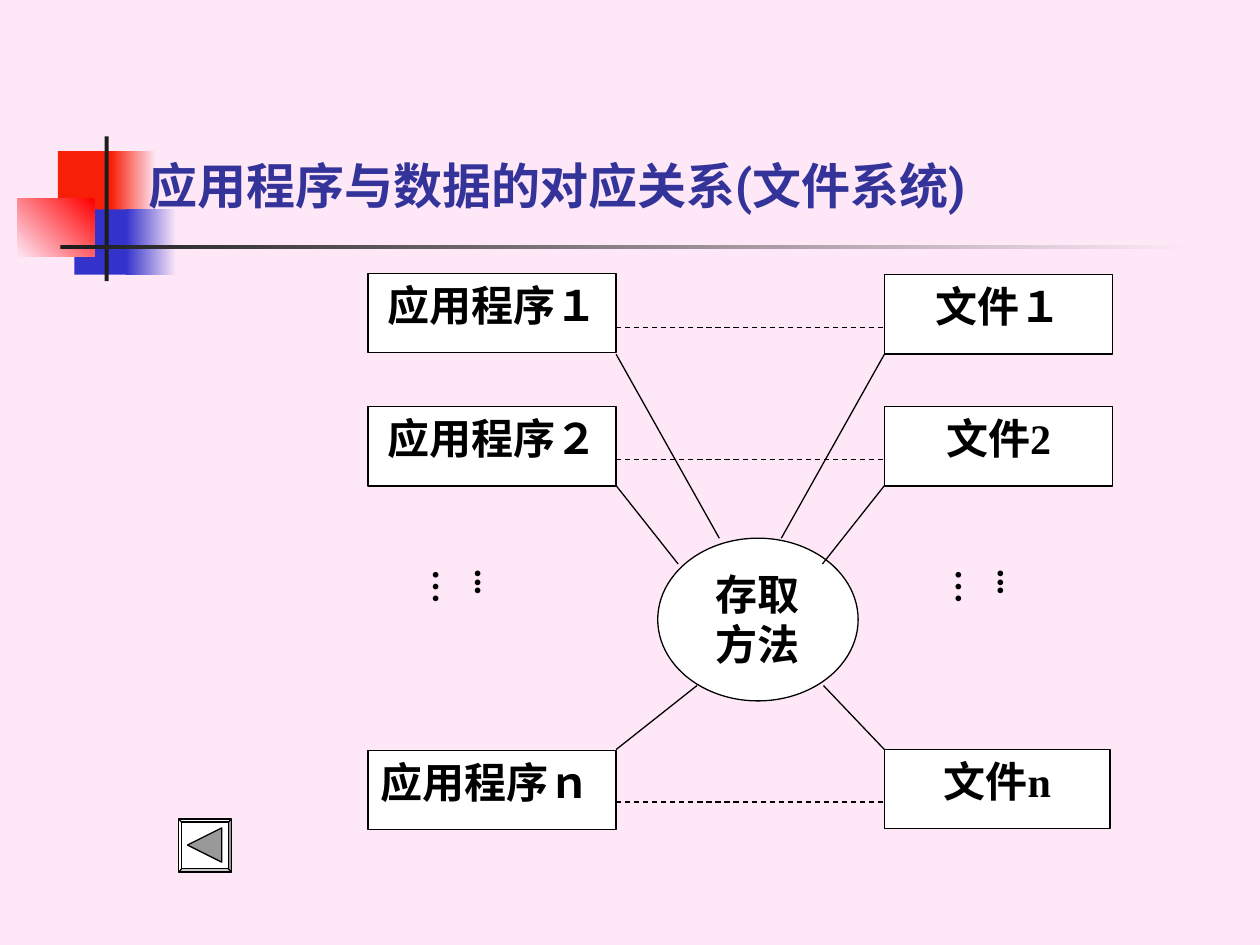
from lxml.etree import SubElement
from pptx import Presentation
from pptx.dml.color import RGBColor
from pptx.enum.dml import MSO_LINE
from pptx.enum.shapes import MSO_CONNECTOR, MSO_SHAPE as SHAPE
from pptx.enum.text import MSO_ANCHOR as ANCHOR, MSO_AUTO_SIZE as AUTO_SIZE, PP_ALIGN as ALIGN
from pptx.oxml.ns import qn
from pptx.util import Cm, Pt

PINK, RED, BLUE, DARK = "FEE8F7", "F81F08", "3333CC", "1C1C1C"
BLACK, WHITE = "000000", "FFFFFF"
APP_LEFT, APP_WIDTH = 7.42, 5
APP_RIGHT = APP_LEFT + APP_WIDTH
FILE_LEFT = 17.83
BOX_HEIGHT = 1.6


def rgb(value):
    """Turn a hex string into a colour."""
    return RGBColor.from_string(value)


def write(frame, text, size=24, font="Times New Roman", color=BLACK,
          align=ALIGN.CENTER, anchor=ANCHOR.TOP):
    """Put one formatted bold paragraph into a text frame."""
    frame.word_wrap = True
    frame.vertical_anchor = anchor
    paragraph = frame.paragraphs[0]
    paragraph.alignment = align
    run = paragraph.add_run()
    run.text = text
    run.font.size = Pt(size)
    run.font.name = font
    run.font.bold = True
    run.font.color.rgb = rgb(color)


def add_figure(shapes, kind, left, top, width, height, fill=WHITE, outline=BLACK):
    """Add a filled preset shape, outlined unless outline is None."""
    figure = shapes.add_shape(kind, Cm(left), Cm(top), Cm(width), Cm(height))
    figure.shadow.inherit = False
    figure.fill.solid()
    figure.fill.fore_color.rgb = rgb(fill)
    if outline:
        figure.line.color.rgb = rgb(outline)
        figure.line.width = Pt(0.75)
    else:
        figure.line.fill.background()
    return figure


def add_fade(shapes, left, top, width, height, start, end, angle=0):
    """Add a rectangle that fades from one colour to another."""
    fade = add_figure(shapes, SHAPE.RECTANGLE, left, top, width, height, outline=None)
    fade.fill.gradient()
    fade.fill.gradient_angle = angle
    for stop, color in zip(fade.fill.gradient_stops, (start, end)):
        stop.color.rgb = rgb(color)


def add_link(shapes, x1, y1, x2, y2, dashed=False):
    """Add a thin black line."""
    link = shapes.add_connector(MSO_CONNECTOR.STRAIGHT, Cm(x1), Cm(y1), Cm(x2), Cm(y2))
    link.line.color.rgb = rgb(BLACK)
    link.line.width = Pt(0.75)
    if dashed:
        link.line.dash_style = MSO_LINE.DASH
    SubElement(link.element.spPr, qn("a:effectLst"))


def add_dots(shapes, left):
    """Add the vertical dots that stand for the omitted rows."""
    dots = shapes.add_textbox(Cm(left), Cm(11.23), Cm(1.35), Cm(1.7))
    frame = dots.text_frame
    write(frame, "...…", size=20, align=ALIGN.LEFT)
    frame.margin_left = frame.margin_right = Cm(0.13)
    frame.margin_top = frame.margin_bottom = Cm(0.25)
    frame.auto_size = AUTO_SIZE.SHAPE_TO_FIT_TEXT
    frame._txBody.bodyPr.set("vert", "eaVert")


def add_ornament(shapes):
    """Add the coloured squares and the crossing rules beside the title."""
    add_figure(shapes, SHAPE.RECTANGLE, 1.17, 3.05, 1.22, 1.32, RED, None)
    add_fade(shapes, 2.24, 3.05, 0.91, 1.32, RED, PINK)
    add_figure(shapes, SHAPE.RECTANGLE, 1.5, 4.22, 1.17, 1.32, BLUE, None)
    add_fade(shapes, 2.54, 4.22, 1.02, 1.32, BLUE, PINK)
    add_fade(shapes, 0.35, 4.01, 1.55, 1.17, PINK, "FF0000", angle=45)
    add_figure(shapes, SHAPE.RECTANGLE, 2.11, 2.75, 0.08, 2.92, DARK, None)
    add_fade(shapes, 1.22, 4.94, 22.86, 0.09, DARK, PINK)


def add_title(slide):
    """Fill and place the title placeholder."""
    title = slide.shapes.title
    title.left, title.top, title.width, title.height = Cm(2.74), Cm(1.27), Cm(22.02), Cm(3.18)
    write(title.text_frame, "应用程序与数据的对应关系(文件系统)", size=28, font="Roboto",
          color="333399", align=ALIGN.LEFT, anchor=ANCHOR.BOTTOM)


def add_diagram(shapes):
    """Add programs and files joined through the access method."""
    rows = [
        ("应用程序１", 5.51, ALIGN.CENTER, "文件１", 5.54, 4.6),
        ("应用程序２", 8.2, ALIGN.CENTER, "文件2", 8.2, 4.6),
        ("应用程序ｎ", 15.13, ALIGN.JUSTIFY, "文件n", 15.11, 4.55),
    ]
    for program, program_top, align, file, file_top, file_width in rows:
        program_box = add_figure(shapes, SHAPE.RECTANGLE, APP_LEFT, program_top,
                                 APP_WIDTH, BOX_HEIGHT)
        write(program_box.text_frame, program, align=align)
        file_box = add_figure(shapes, SHAPE.RECTANGLE, FILE_LEFT, file_top,
                              file_width, BOX_HEIGHT)
        write(file_box.text_frame, file)
        link_y = file_top + 1.06
        add_link(shapes, APP_RIGHT, link_y, FILE_LEFT, link_y, dashed=True)

    method = add_figure(shapes, SHAPE.OVAL, 13.26, 10.85, 4.04, 3.28)
    write(method.text_frame, "存取方法")
    spokes = [
        (7.14, 14.5, 15.75, 10.85),
        (9.79, 13.67, 16.58, 11.37),
        (15.11, 14.05, 16.6, 13.82),
    ]
    for box_y, left_x, right_x, method_y in spokes:
        add_link(shapes, APP_RIGHT, box_y, left_x, method_y)
        add_link(shapes, FILE_LEFT, box_y, right_x, method_y)
    for dots_left in (9.07, 19.61):
        add_dots(shapes, dots_left)


def add_back_button(shapes):
    """Add the bevelled button with its arrow pointing left."""
    button = add_figure(shapes, SHAPE.BEVEL, 3.6, 16.51, 1.07, 1.07)
    button.adjustments[0] = 0.06
    arrow = add_figure(shapes, SHAPE.ISOSCELES_TRIANGLE, 3.78, 16.69, 0.69, 0.69, "999999")
    arrow.rotation = 270


def main():
    """Build the slide and save it."""
    deck = Presentation()
    deck.slide_width, deck.slide_height = Cm(25.4), Cm(19.05)
    slide = deck.slides.add_slide(deck.slide_layouts[5])
    slide.background.fill.solid()
    slide.background.fill.fore_color.rgb = rgb(PINK)
    add_ornament(slide.shapes)
    add_title(slide)
    title = slide.shapes.title.element
    slide.shapes.element.append(title)
    add_diagram(slide.shapes.add_group_shape().shapes)
    add_back_button(slide.shapes)
    deck.save("out.pptx")


if __name__ == "__main__":
    main()
